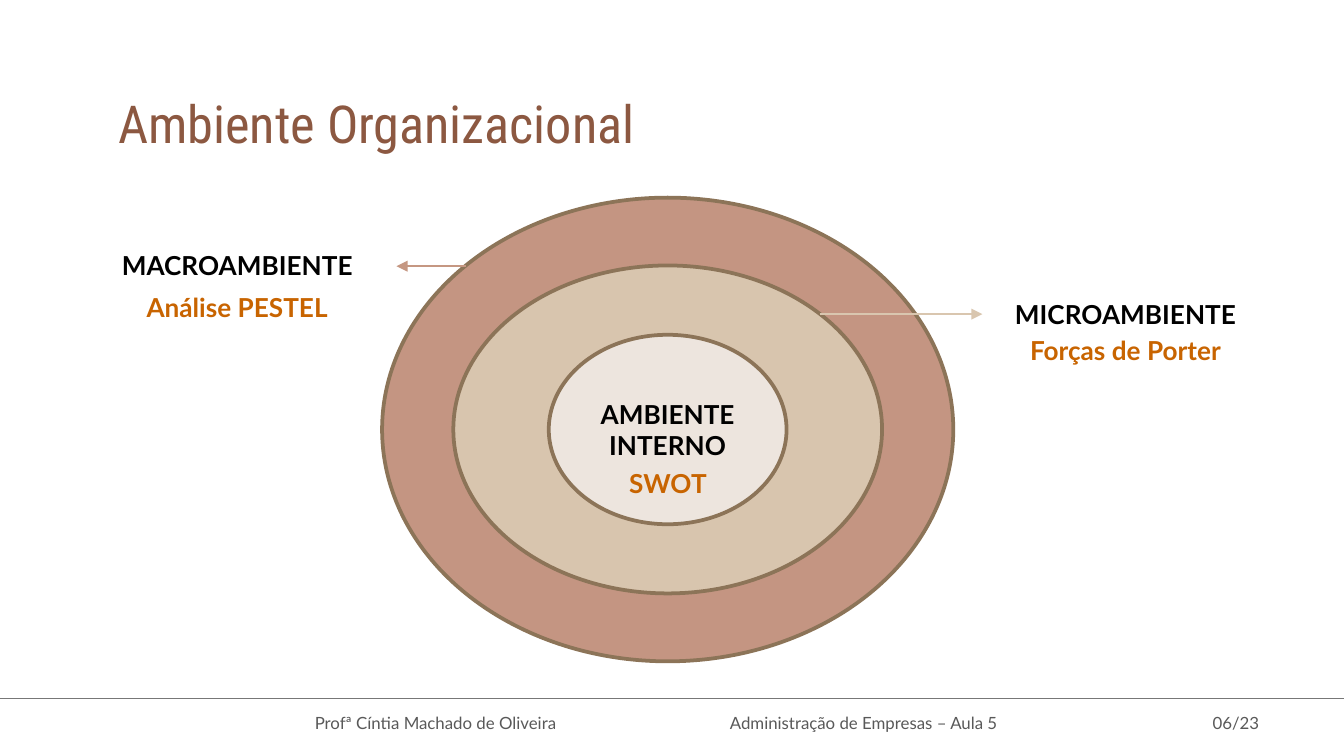
import pptx
import pptx.dml.color
import pptx.enum.shapes
import pptx.enum.text
import pptx.oxml
import pptx.oxml.ns
import pptx.util

Pt = pptx.util.Pt
ALIGN = pptx.enum.text.PP_ALIGN
ANCHOR = pptx.enum.text.MSO_ANCHOR
SHAPES = pptx.enum.shapes

COLORS = {
    "title": "8C5841",
    "text": "000000",
    "accent": "C86400",
    "footer": "595959",
    "rule": "777777",
    "outline": "8C7458",
    "macro": "C49582",
    "micro": "D8C5AE",
    "internal": "EDE5DE",
    "macro arrow": "C59782",
    "micro arrow": "D9C6AF",
}


def color(name):
    return pptx.dml.color.RGBColor.from_string(COLORS[name])


def append_xml(parent, tag, attributes=""):
    namespace = pptx.oxml.ns.nsdecls("a")
    parent.append(pptx.oxml.parse_xml(f"<a:{tag} {namespace} {attributes}/>"))


class SlideBuilder:
    """Holds the text style and the page being drawn."""

    font = "Lato"
    heading_font = "Roboto Condensed"

    def __init__(self, page):
        self.page = page

    def set_text(self, item, text, size, ink, bold=False, font=None,
                 align=ALIGN.CENTER, anchor=ANCHOR.TOP, inset=3.6):
        frame = item.text_frame
        frame.word_wrap = True
        frame.auto_size = pptx.enum.text.MSO_AUTO_SIZE.NONE
        frame.vertical_anchor = anchor
        frame.margin_left = frame.margin_right = Pt(7.2)
        frame.margin_top = frame.margin_bottom = Pt(inset)
        para = frame.paragraphs[0]
        para.alignment = align
        span = para.add_run()
        span.text = text
        span.font.name = font or self.font
        span.font.size = Pt(size)
        span.font.bold = bold
        span.font.color.rgb = color(ink)

    def title(self, text, left, top, width, height):
        box = self.page.shapes.title
        box.left, box.top = Pt(left), Pt(top)
        box.width, box.height = Pt(width), Pt(height)
        self.set_text(box, text, 28, "title", font=self.heading_font, align=ALIGN.LEFT)

    def label(self, text, left, top, width, ink="text"):
        box = self.page.shapes.add_textbox(Pt(left), Pt(top), Pt(width), Pt(24.5))
        self.set_text(box, text, 14, ink, bold=True)

    def footer(self, text, left, width):
        box = self.page.shapes.add_textbox(Pt(left), Pt(375.1), Pt(width), Pt(23.8))
        self.set_text(box, text, 9, "footer", anchor=ANCHOR.MIDDLE, inset=7.2)

    def line(self, start, end, y, ink, width, arrow=False):
        line = self.page.shapes.add_connector(
            SHAPES.MSO_CONNECTOR.STRAIGHT, Pt(start), Pt(y), Pt(end), Pt(y))
        line.line.color.rgb = color(ink)
        line.line.width = Pt(width)
        properties = line._element.spPr
        if arrow:
            append_xml(properties.get_or_add_ln(), "tailEnd", 'type="triangle"')
        append_xml(properties, "effectLst")

    def rings(self, center_x, center_y, sizes):
        """Draw concentric ellipses from the outermost in; return the last."""
        group = self.page.shapes.add_group_shape()
        for fill, width, height in sizes:
            ring = group.shapes.add_shape(
                SHAPES.MSO_SHAPE.OVAL,
                Pt(center_x - width / 2), Pt(center_y - height / 2),
                Pt(width), Pt(height))
            ring.shadow.inherit = False
            ring.fill.solid()
            ring.fill.fore_color.rgb = color(fill)
            ring.line.color.rgb = color("outline")
            ring.line.width = Pt(2)
        return ring


def main():
    deck = pptx.Presentation()
    deck.slide_width, deck.slide_height = Pt(720), Pt(405)
    slide = SlideBuilder(deck.slides.add_slide(deck.slide_layouts[5]))

    for text, left, width in (
        ("Profª Cíntia Machado de Oliveira", 149, 168.5),
        ("Administração de Empresas – Aula 5", 375.8, 173.5),
        ("06/23", 626.4, 71.3),
    ):
        slide.footer(text, left, width)
    slide.line(0, 721.4, 374.2, "rule", 1)

    slide.title("Ambiente Organizacional", 56.2, 45.4, 607.7, 41)

    core = slide.rings(357.7, 230.1, (
        ("macro", 306, 248.4),
        ("micro", 229.7, 175.7),
        ("internal", 127.4, 101.5),
    ))
    slide.set_text(core, "AMBIENTE INTERNO", 14, "text", bold=True, anchor=ANCHOR.MIDDLE)

    slide.line(249.8, 212.4, 142.6, "macro arrow", 0.75, arrow=True)
    slide.line(439.2, 526.3, 168.3, "micro arrow", 0.75, arrow=True)

    for text, left, top, width, ink in (
        ("MACROAMBIENTE", 56.2, 130.3, 141.8, "text"),
        ("Análise PESTEL", 56.2, 152.6, 141.8, "accent"),
        ("MICROAMBIENTE", 532.1, 156.2, 141.8, "text"),
        ("Forças de Porter", 532.1, 175.7, 141.8, "accent"),
        ("SWOT", 326.9, 247, 61.9, "accent"),
    ):
        slide.label(text, left, top, width, ink)

    deck.save("out.pptx")


if __name__ == "__main__":
    main()
